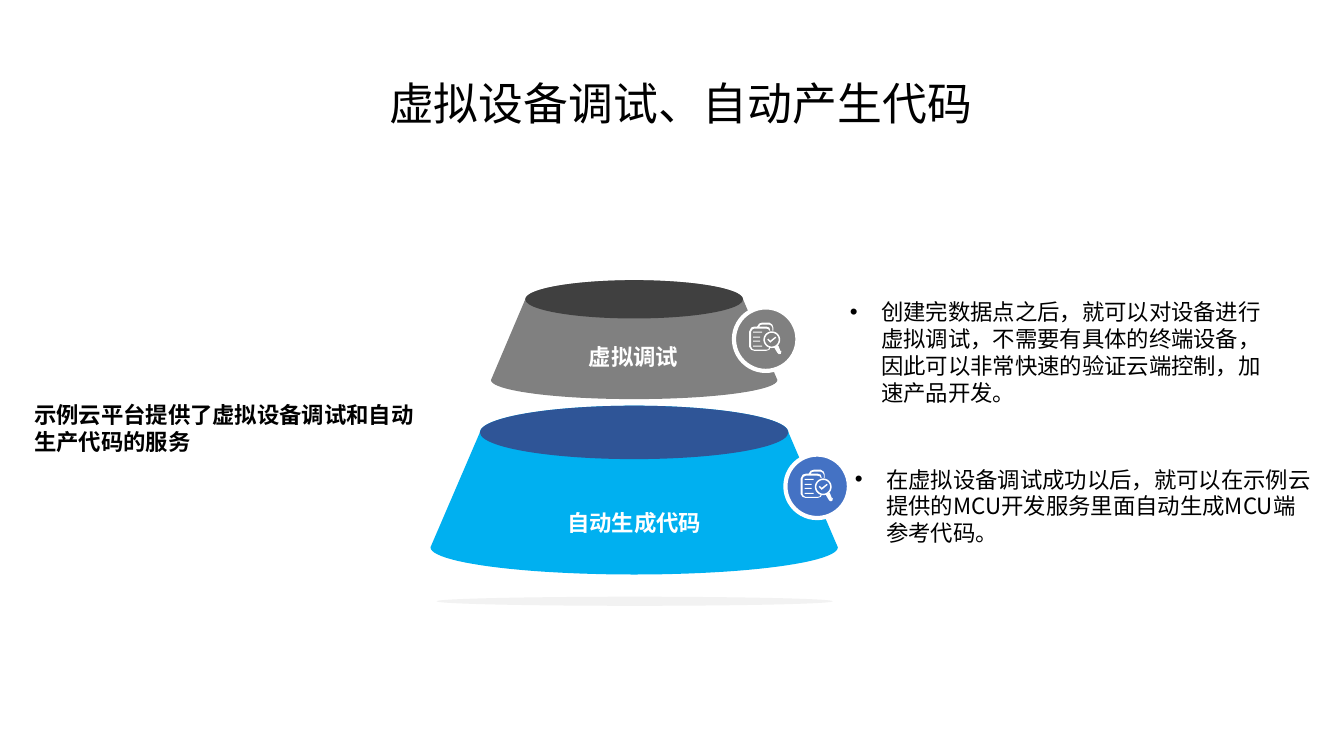
"""Build the slide on virtual device debugging and code generation."""
from math import cos, pi, sin

from lxml import etree
from pptx import Presentation
from pptx.dml.color import RGBColor
from pptx.enum.shapes import MSO_SHAPE
from pptx.enum.text import MSO_ANCHOR, MSO_AUTO_SIZE, PP_ALIGN
from pptx.oxml.ns import qn
from pptx.util import Inches, Pt

OVAL = MSO_SHAPE.OVAL
TOP, MIDDLE, BOTTOM = MSO_ANCHOR.TOP, MSO_ANCHOR.MIDDLE, MSO_ANCHOR.BOTTOM
LEFT, CENTER = PP_ALIGN.LEFT, PP_ALIGN.CENTER
FIXED = MSO_AUTO_SIZE.NONE
FONT = "Noto Sans CJK SC"
COLORS = {
    "black": "000000", "white": "FFFFFF", "gray": "808080", "dark": "404040",
    "sky": "00B0F0", "navy": "2F5597", "blue": "4472C4", "shade": "F2F2F2",
}


def write(box, place, text, size=16, color="black", bold=False, align=LEFT, anchor=TOP):
    """Place a text object and fill it with one formatted run."""
    box.left, box.top, box.width, box.height = [Inches(value) for value in place]
    frame = box.text_frame
    frame.word_wrap = True
    frame.auto_size = FIXED
    frame.vertical_anchor = anchor
    para = frame.paragraphs[0]
    para.alignment = align
    para.space_before = Pt(0)
    span = para.add_run()
    span.text = text
    span.font.size = Pt(size)
    span.font.bold = bold
    span.font.name = FONT
    span.font.color.rgb = RGBColor.from_string(COLORS[color])
    etree.SubElement(span.font._element, qn("a:ea")).set("typeface", FONT)
    return para


def paint(shape, color, outline=None):
    """Give a shape a flat fill and an optional 3 pt outline."""
    shape.shadow.inherit = False
    shape.fill.solid()
    shape.fill.fore_color.rgb = RGBColor.from_string(COLORS[color])
    if outline:
        shape.line.color.rgb = RGBColor.from_string(COLORS[outline])
        shape.line.width = Pt(3)
    else:
        shape.line.fill.background()


deck = Presentation()
deck.slide_width, deck.slide_height = Inches(13.33), Inches(7.5)
page = deck.slides.add_slide(deck.slide_layouts[3])
shapes = page.shapes

title = write(shapes.title, (3.76, 0.33, 11.5, 1.45), "虚拟设备调试、自动产生代码", 32, anchor=MIDDLE)
title.line_spacing = 0.9
write(shapes.add_textbox(0, 0, 0, 0), (0.24, 3.63, 4.04, 0.93),
      "示例云平台提供了虚拟设备调试和自动生产代码的服务", bold=True, anchor=BOTTOM)

points = [
    ((8.33, 2.91, 4.44, 1.48),
     "创建完数据点之后，就可以对设备进行虚拟调试，不需要有具体的终端设备，因此可以非常快速的验证云端控制，加速产品开发。"),
    ((8.38, 4.57, 4.73, 1.21),
     "在虚拟设备调试成功以后，就可以在示例云提供的MCU开发服务里面自动生成MCU端参考代码。"),
]
for index, (place, text) in enumerate(points, start=1):
    props = write(page.placeholders[index], place, text)._p.get_or_add_pPr()
    props.set("marL", str(Inches(0.31)))
    props.set("indent", str(-Inches(0.31)))
    etree.SubElement(props, qn("a:buFont")).set("typeface", "Arial")
    etree.SubElement(props, qn("a:buChar")).set("char", "•")

CENTER_X = 6.29
STEPS = 48
tiers = [
    ("自动生成代码", (5.44, 4.86, 1.7, 0.65), "sky", "navy", (1.53, 0.265, 4.29), (2.02, 0.27, 5.43)),
    ("虚拟调试", (5.57, 3.21, 1.43, 0.65), "gray", "dark", (1.08, 0.19, 2.97), (1.42, 0.19, 3.77)),
]
for label, place, side, lid, rim, base in tiers:
    outline = []
    for start, (radius_x, radius_y, center_y) in ((0, base), (pi, rim)):
        for step in range(STEPS + 1):
            angle = start + pi * step / STEPS
            outline.append((Inches(CENTER_X + radius_x * cos(angle)),
                            Inches(center_y + radius_y * sin(angle))))
    builder = shapes.build_freeform(*outline[0])
    builder.add_line_segments(outline[1:], close=True)
    paint(builder.convert_to_shape(), side)
    radius_x, radius_y, center_y = rim
    paint(shapes.add_shape(OVAL, Inches(CENTER_X - radius_x), Inches(center_y - radius_y),
                           Inches(2 * radius_x), Inches(2 * radius_y)), lid)
    write(shapes.add_textbox(0, 0, 0, 0), place, label, color="white", bold=True,
          align=CENTER, anchor=MIDDLE)

paint(shapes.add_shape(OVAL, Inches(4.33), Inches(5.92), Inches(3.93), Inches(0.09)), "shade")

clipboard = [
    (20, 25), (21, 25), (20, 27), (17, 28), (5, 28), (2, 27), (0, 24), (0, 9), (2, 5), (5, 4),
    (8, 4), (10, 1), (13, 0), (20, 0), (23, 2), (24, 5), (24, 8), (23, 8), (23, 5), (22, 3),
    (20, 2), (13, 2), (11, 2.5), (10, 4), (17, 4), (20, 5), (21, 8), (20, 8), (19, 6.5), (17, 6),
    (5, 6), (3, 7), (2, 9), (2, 24), (3, 26), (5, 27), (17, 27), (19, 26.5),
]
handle = [(29, 23), (25, 25), (28, 30), (31, 28)]
tip = [(32, 28), (28, 30), (29.5, 31.3), (31.5, 31)]
check = [(21, 18), (19, 16), (18, 17), (21, 20), (27, 15), (26, 14)]
lens = [[(22.5 + radius * cos(2 * pi * step / STEPS), 17 + radius * sin(2 * pi * step / STEPS))
         for step in range(STEPS)] for radius in (8.3, 6.8)]
rows = [[(4, top), (right, top), (right, top + 1), (4, top + 1)]
        for top, right in ((9, 13), (14, 11), (18, 11), (23, 13))]
contours = [clipboard, *lens, handle, tip, check, *rows]

for left, top, color in ((7.28, 3.05, "gray"), (7.79, 4.51, "blue")):
    paint(shapes.add_shape(OVAL, Inches(left), Inches(top), Inches(0.63), Inches(0.63)), color, "white")
    builder = None
    for contour in contours:
        spots = [(Inches(left + 0.15 + x / 100), Inches(top + 0.15 + y / 100)) for x, y in contour]
        if builder is None:
            builder = shapes.build_freeform(*spots[0])
        else:
            builder.move_to(*spots[0])
        builder.add_line_segments(spots[1:], close=True)
    paint(builder.convert_to_shape(), "white")

deck.save("out.pptx")
